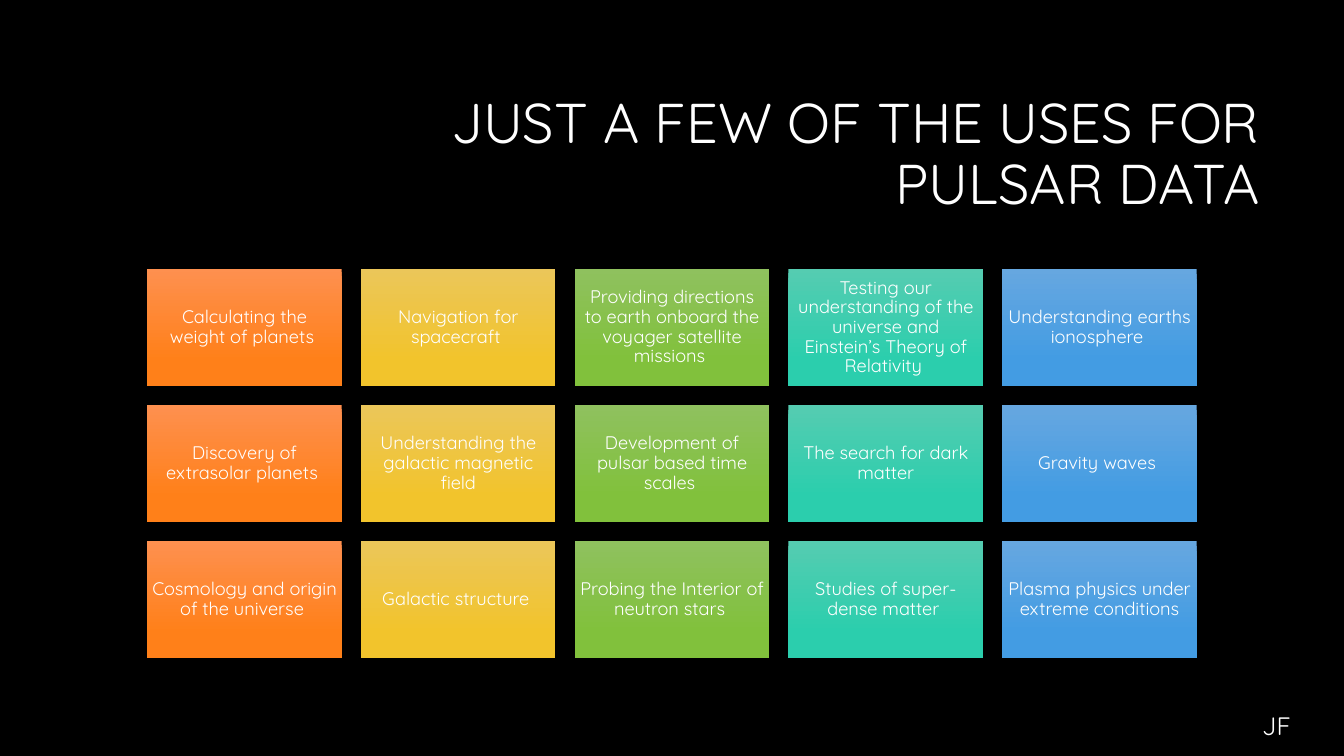
from pptx import Presentation
from pptx.dml.color import RGBColor
from pptx.enum.shapes import MSO_SHAPE
from pptx.enum.text import MSO_ANCHOR, PP_ALIGN
from pptx.util import Inches, Pt

COLORS = {
    "background": "000000",
    "text": "FFFFFF",
    "orange_top": "FE904F",
    "orange": "FF8019",
    "yellow_top": "EBC659",
    "yellow": "F2C42C",
    "green_top": "8FC15E",
    "green": "81C13C",
    "teal_top": "55CCB1",
    "teal": "2BCEAD",
    "blue_top": "66A7E0",
    "blue": "439CE3",
}

COLUMN_COLORS = ["orange", "yellow", "green", "teal", "blue"]

PULSAR_USES = [
    [
        "Calculating the weight of planets ",
        "Navigation for spacecraft ",
        "Providing directions to earth onboard the voyager satellite missions ",
        "Testing our understanding of the universe and Einstein’s Theory of Relativity ",
        "Understanding earths ionosphere ",
    ],
    [
        "Discovery of extrasolar planets ",
        "Understanding the galactic magnetic field",
        "Development of pulsar based time scales ",
        "The search for dark matter",
        "Gravity waves ",
    ],
    [
        "Cosmology and origin of the universe ",
        "Galactic structure ",
        "Probing the Interior of neutron stars ",
        "Studies of super-dense matter ",
        "Plasma physics under extreme conditions",
    ],
]


class PulsarPage:
    font_name = "Quicksand"

    def __init__(self, page):
        self.page = page
        fill = page.background.fill
        fill.solid()
        fill.fore_color.rgb = self.color("background")

    def color(self, name):
        return RGBColor.from_string(COLORS[name])

    def set_text(self, box, text, size, align, anchor, spacing=1.0):
        frame = box.text_frame
        frame.word_wrap = True
        frame.vertical_anchor = anchor
        para = frame.paragraphs[0]
        para.text = text
        para.alignment = align
        para.line_spacing = spacing
        para.font.name = self.font_name
        para.font.size = Pt(size)
        para.font.color.rgb = self.color("text")

    def label(self, left, top, width, height, text, size, **style):
        box = self.page.shapes.add_textbox(
            Inches(left), Inches(top), Inches(width), Inches(height))
        self.set_text(box, text, size, **style)

    def tile(self, left, top, width, height, text, color_name):
        box = self.page.shapes.add_shape(
            MSO_SHAPE.RECTANGLE,
            Inches(left), Inches(top), Inches(width), Inches(height))
        box.shadow.inherit = False
        box.line.fill.background()
        box.fill.gradient()
        box.fill.gradient_angle = 270
        upper, lower = box.fill.gradient_stops
        upper.position, lower.position = 0, 0.78
        upper.color.rgb = self.color(color_name + "_top")
        lower.color.rgb = self.color(color_name)
        frame = box.text_frame
        frame.margin_left = frame.margin_right = Inches(0.05)
        frame.margin_top = frame.margin_bottom = Inches(0.05)
        self.set_text(box, text, 13, PP_ALIGN.CENTER, MSO_ANCHOR.MIDDLE, 0.9)


def main():
    deck = Presentation()
    deck.slide_width = Inches(13.33)
    deck.slide_height = Inches(7.5)
    page = PulsarPage(deck.slides.add_slide(deck.slide_layouts[6]))

    page.label(3.17, 0.84, 9.42, 1.41, "JUST A FEW OF THE USES FOR PULSAR DATA", 40,
               align=PP_ALIGN.RIGHT, anchor=MSO_ANCHOR.MIDDLE, spacing=0.9)

    for row, uses in enumerate(PULSAR_USES):
        for column, (use, color_name) in enumerate(zip(uses, COLUMN_COLORS)):
            page.tile(1.46 + column * 2.12, 2.67 + row * 1.35, 1.93, 1.16,
                      use, color_name)

    page.label(12.42, 7, 0.9, 0.4, "JF", 18,
               align=PP_ALIGN.LEFT, anchor=MSO_ANCHOR.TOP)

    deck.save("out.pptx")


if __name__ == "__main__":
    main()
